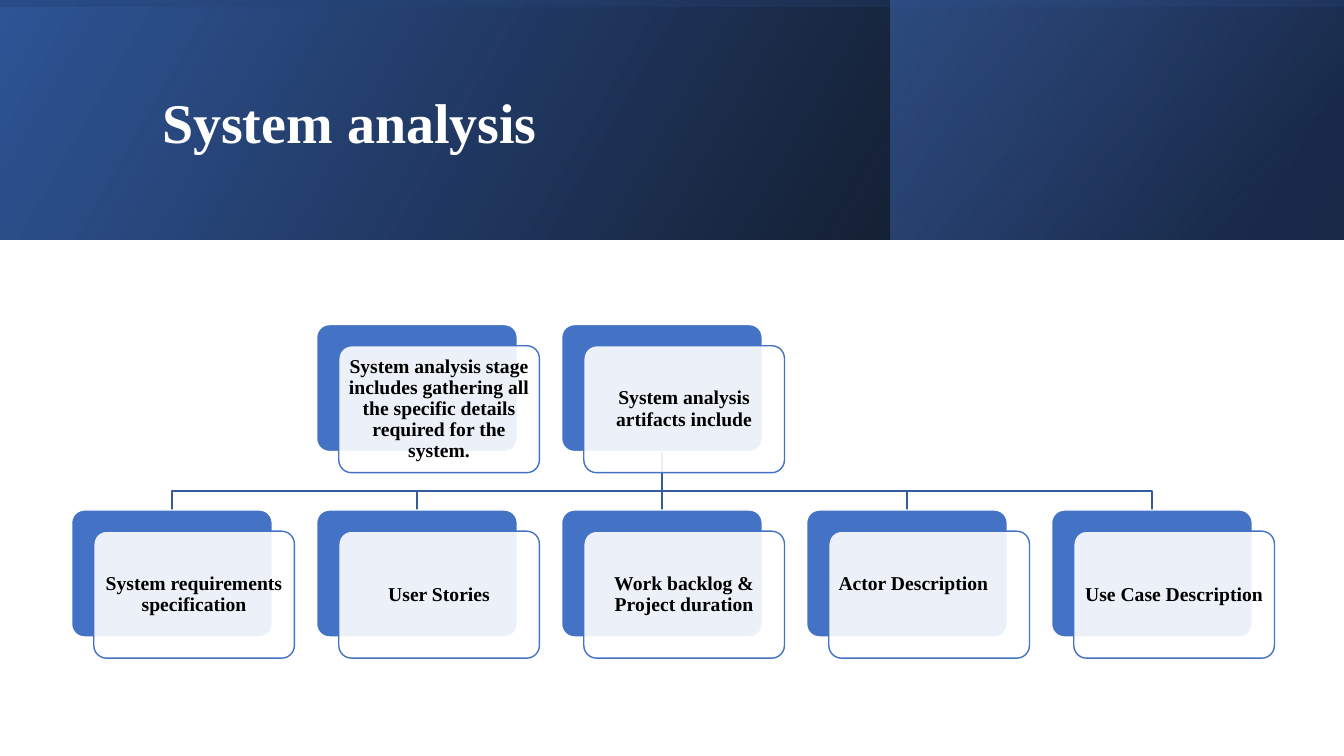
from lxml import etree
from pptx import Presentation
from pptx import util as u
from pptx.dml.color import RGBColor
from pptx.enum import shapes, text
from pptx.oxml.ns import qn

COLORS = {"blue": "4472C4", "deep": "2F5597", "navy": "203864", "line": "365B9D",
          "white": "FFFFFF", "black": "000000"}
rgb = {name: RGBColor.from_string(value) for name, value in COLORS.items()}
FONT = "Times New Roman"

# Grid of the tree, in inches
LEFT, COL = 0.71, 2.43
ROW_TOPS = [3.22, 5.06]
CARD_W, CARD_H = 1.99, 1.26
SHIFT_X, SHIFT_Y = 0.22, 0.21
ROOT_COL = 2
BUS_Y = 4.87
INSET = 0.06

prs = Presentation()
prs.slide_width, prs.slide_height = u.Inches(13.33), u.Inches(7.5)
slide = prs.slides.add_slide(prs.slide_layouts[6])


def set_alpha(color_element, percent):
    etree.SubElement(color_element, qn("a:alpha")).set("val", str(percent * 1000))


def write(frame, words, size, color):
    """Put one bold paragraph, centred in height, in the frame."""
    frame.word_wrap = True
    frame.vertical_anchor = text.MSO_ANCHOR.MIDDLE
    paragraph = frame.paragraphs[0]
    paragraph.text = words
    paragraph.line_spacing = 0.9
    font = paragraph.runs[0].font
    font.name, font.size, font.bold = FONT, u.Pt(size), True
    font.color.rgb = rgb[color]
    return paragraph


# Banner: box, rotation, clockwise gradient angle, stops (position, colour, opacity)
BANNER_H = 2.38
banner_layers = [
    ((0, 0, 13.33, BANNER_H), 0, 330,
     [(0, "black", 96), (1, "deep", 100)]),
    ((8.83, 0, 4.5, BANNER_H), 0, 320,
     [(0.19, "navy", 68), (1, "blue", 48)]),
    ((5.48, -5.48, BANNER_H, 13.33), 270, 350,
     [(0.23, "deep", 16), (0.99, "black", 45)]),
]
for box, rotation, angle, stops in banner_layers:
    layer = slide.shapes.add_shape(shapes.MSO_SHAPE.RECTANGLE, *map(u.Inches, box))
    layer.shadow.inherit = False
    layer.rotation = rotation
    layer._element.spPr.find(qn("a:xfrm")).set("flipH", "1")
    layer.line.fill.background()
    layer.fill.gradient()
    layer.fill.gradient_angle = 360 - angle
    for stop, (position, color, _) in zip(layer.fill.gradient_stops, stops):
        stop.position = position
        stop.color.rgb = rgb[color]
    for element, (_, _, opacity) in zip(layer._element.spPr.iter(qn("a:srgbClr")), stops):
        set_alpha(element, opacity)

title = slide.shapes.add_textbox(*map(u.Inches, (1.51, 0.38, 10.63, 1.72)))
write(title.text_frame, "System analysis", 40, "white")

# Branches from the root card to the artifacts
root_x = LEFT + ROOT_COL * COL + CARD_W / 2
root_y = ROW_TOPS[0] + CARD_H
for col in (4, 3, 1, 0):
    child_x = LEFT + col * COL + CARD_W / 2
    builder = slide.shapes.build_freeform(u.Inches(root_x), u.Inches(root_y))
    builder.add_line_segments(
        [(u.Inches(x), u.Inches(y)) for x, y in
         [(root_x, BUS_Y), (child_x, BUS_Y), (child_x, ROW_TOPS[1])]], close=False)
    branch = builder.convert_to_shape()
    branch.shadow.inherit = False
    branch.fill.background()
    branch.line.color.rgb, branch.line.width = rgb["line"], u.Pt(1)

trunk = slide.shapes.add_connector(
    shapes.MSO_CONNECTOR.STRAIGHT,
    *map(u.Inches, (root_x, root_y, root_x, ROW_TOPS[1])))
trunk.line.color.rgb, trunk.line.width = rgb["line"], u.Pt(1)
etree.SubElement(trunk._element.spPr, qn("a:effectLst"))

# Cards: row, column, label
cards = [
    (0, 1, "System analysis stage includes gathering all the specific details "
           "required for the system."),
    (0, 2, "System analysis artifacts include"),
    (1, 0, "System requirements specification"),
    (1, 1, "User Stories"),
    (1, 2, "Work backlog & Project duration"),
    (1, 3, "Actor Description"),
    (1, 4, "Use Case Description"),
]
backs = {}
for row, col, label in cards:
    x, y = LEFT + col * COL, ROW_TOPS[row]
    pair = []
    for dx, dy, fill, line in [(0, 0, "blue", "white"),
                               (SHIFT_X, SHIFT_Y, "white", "blue")]:
        card = slide.shapes.add_shape(
            shapes.MSO_SHAPE.ROUNDED_RECTANGLE,
            *map(u.Inches, (x + dx, y + dy, CARD_W, CARD_H)))
        card.shadow.inherit = False
        card.adjustments[0] = 0.1
        card.fill.solid()
        card.fill.fore_color.rgb = rgb[fill]
        card.line.color.rgb, card.line.width = rgb[line], u.Pt(1)
        pair.append(card)
    backs[row, col], front = pair
    set_alpha(front._element.spPr.find(qn("a:solidFill")).find(qn("a:srgbClr")), 90)
    frame = front.text_frame
    frame.margin_left = frame.margin_right = u.Inches(INSET)
    frame.margin_top = frame.margin_bottom = u.Inches(INSET)
    paragraph = write(frame, label, 14, "black")
    paragraph.alignment = text.PP_ALIGN.CENTER
    if label == "Actor Description":
        paragraph.alignment = text.PP_ALIGN.LEFT
        frame.margin_bottom = u.Inches(INSET + 0.21)

trunk.begin_connect(backs[0, ROOT_COL], 2)
trunk.end_connect(backs[1, ROOT_COL], 0)

prs.save("out.pptx")
